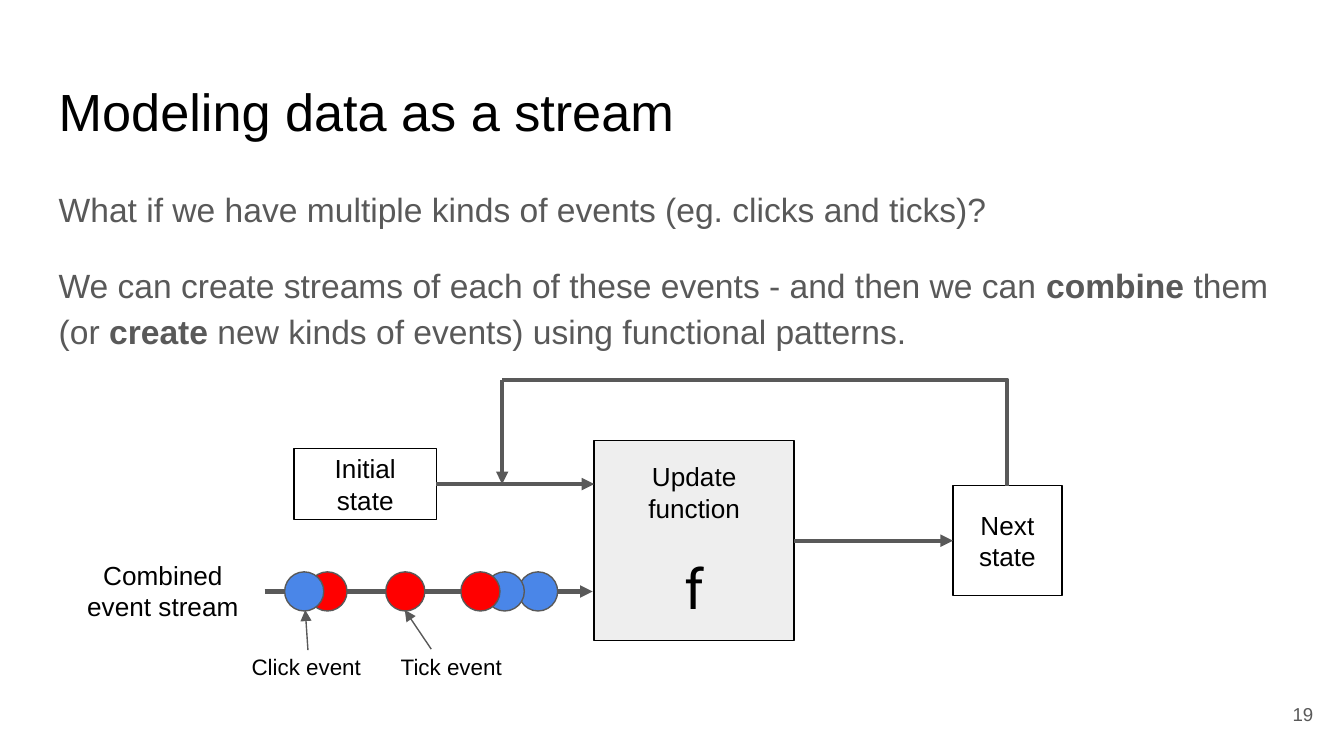
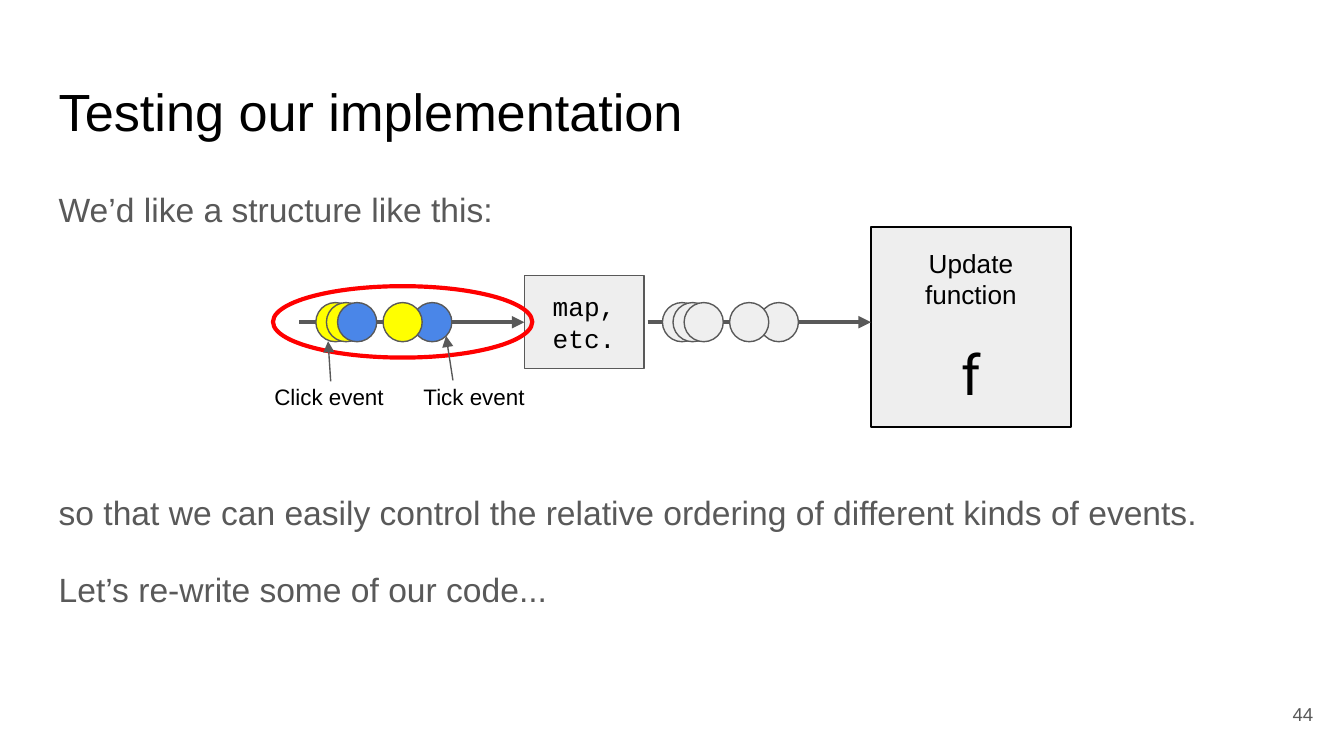
from lxml import etree
from pptx import Presentation
from pptx import util as u
from pptx.dml.color import RGBColor
from pptx.enum import shapes, text
from pptx.oxml.ns import qn

# Content: lengths in centimetres, text sizes and line widths in points
COLORS = {"ink": "000000", "grey": "595959", "panel": "EEEEEE", "neutral": "EFEFEF",
          "red": "FF0000", "blue": "4A86E8", "yellow": "FFFF00"}
TITLE_BOX = (0.86, 1.24, 23.67, 1.6)
BODY_BOX = (0.86, 3.2, 23.67, 9.5)
NUMBER_BOX = (23.55, 12.95, 1.52, 1.09)
UPDATE_SIDE = 3.78
BALL = 0.74
EVENT_NAMES = ["Click event", "Tick event"]
EVENT_LABEL = {"width": 3.2, "height": 1.09, "pitch": 2.74, "drop": 0.91}

# A paragraph is (runs, space before, space after); a run is (words, bold)
STREAM_SLIDE = {
    "title": "Modeling data as a stream",
    "number": "19",
    "body": [
        ([("What if we have multiple kinds of events (eg. clicks and ticks)?", False)], 0, 0),
        ([("We can create streams of each of these events - and then we can ", False),
          ("combine", True), (" them (or ", False), ("create", True),
          (" new kinds of events) using functional patterns.", False)], 16, 16),
    ],
    "update": (11.23, 8.33),
    "initial": (5.56, 8.48, 2.69, 1.34),
    "next": (18.01, 9.18, 2.06, 2.08),
    "feedback": {"left": 9.49, "top": 7.18, "right": 19.04, "bottom": 9.18},
    "state_y": 9.15,
    "stream": {"start": 5.0, "end": 11.2, "y": 11.18},
    "stream_label": (1.19, 10.49, 3.78, 1.35),
    "balls": [(7.29, "red"), (9.8, "blue"), (5.82, "red"), (9.17, "blue"),
              (5.38, "blue"), (8.71, "red")],
    "labels_left": 4.19,
    "pointers": [((5.82, 12.29), (5.77, 11.53)), ((8.15, 12.27), (7.65, 11.53))],
}
TEST_SLIDE = {
    "title": "Testing our implementation",
    "number": "44",
    "body": [
        ([("We’d like a structure like this:", False)], 0, 0),
        ([("so that we can easily control the relative ordering of different kinds of events.",
           False)], 138, 0),
        ([("Let’s re-write some of our code...", False)], 16, 16),
    ],
    "update": (16.46, 4.29),
    "map": (9.91, 5.21, 2.26, 1.76),
    "highlight": (5.16, 5.41, 4.9, 1.35),
    "input": {"start": 5.66, "end": 9.91, "y": 6.09},
    "output": {"start": 12.24, "end": 16.46, "y": 6.09},
    "first_balls": (5.97, 12.52),
    "ball_offsets": [0, 1.83, 1.27, 0.2, 0.41],
    "ball_colors": ["yellow", "blue", "yellow", "yellow", "blue"],
    "labels_left": 4.62,
    "pointers": [((6.25, 7.21), (6.2, 6.45)), ((8.56, 7.19), (8.43, 6.35))],
}


def color(name):
    return RGBColor.from_string(COLORS[name])


def cm(values):
    return [u.Cm(value) for value in values]


# Text
def set_frame(frame, anchor=text.MSO_ANCHOR.TOP):
    settings = {"word_wrap": True, "auto_size": text.MSO_AUTO_SIZE.NONE,
                "vertical_anchor": anchor}
    settings.update({f"margin_{side}": u.Cm(0.25)
                     for side in ("left", "top", "right", "bottom")})
    for name, value in settings.items():
        setattr(frame, name, value)


def add_run(paragraph, words, size, ink="ink", font="Arial", bold=False):
    run = paragraph.add_run()
    run.text = words
    for name, value in {"size": u.Pt(size), "name": font, "bold": bold}.items():
        setattr(run.font, name, value)
    run.font.color.rgb = color(ink)


def write_lines(shape, lines, align=text.PP_ALIGN.CENTER, anchor=text.MSO_ANCHOR.MIDDLE):
    """Write each (words, format, space before) line as one paragraph."""
    frame = shape.text_frame
    set_frame(frame, anchor)
    for index, (words, style, before) in enumerate(lines):
        paragraph = frame.add_paragraph() if index else frame.paragraphs[0]
        paragraph.alignment = align
        paragraph.space_before = u.Pt(before)
        add_run(paragraph, words, **style)


def add_label(slide, box, words, size, ink="ink", **placing):
    shape = slide.shapes.add_textbox(*cm(box))
    write_lines(shape, [(words, {"size": size, "ink": ink}, 0)], **placing)


def add_body(slide, paragraphs):
    frame = slide.shapes.add_textbox(*cm(BODY_BOX)).text_frame
    set_frame(frame)
    for index, (runs, before, after) in enumerate(paragraphs):
        paragraph = frame.add_paragraph() if index else frame.paragraphs[0]
        spacing = {"line_spacing": 1.15, "space_before": u.Pt(before),
                   "space_after": u.Pt(after)}
        for name, value in spacing.items():
            setattr(paragraph, name, value)
        for words, bold in runs:
            add_run(paragraph, words, 18, "grey", bold=bold)


# Shapes and lines
def add_figure(slide, kind, box, fill=None, line="ink", width=0.75):
    shape = slide.shapes.add_shape(kind, *cm(box))
    shape.shadow.inherit = False
    if fill:
        shape.fill.solid()
        shape.fill.fore_color.rgb = color(fill)
    else:
        shape.fill.background()
    shape.line.color.rgb = color(line)
    shape.line.width = u.Pt(width)
    return shape


def add_box(slide, box, lines, **look):
    shape = add_figure(slide, shapes.MSO_SHAPE.RECTANGLE, box, **look)
    write_lines(shape, lines)
    return shape


def add_update_function(slide, corner):
    lines = [("Update function", {"size": 14}, 0),
             ("f", {"size": 30, "font": "Roboto"}, 16)]
    return add_box(slide, (*corner, UPDATE_SIDE, UPDATE_SIDE), lines, fill="panel")


def add_line(slide, start, end, width=2.25, arrow=True, kind=shapes.MSO_CONNECTOR.STRAIGHT):
    connector = slide.shapes.add_connector(kind, *cm((*start, *end)))
    connector.line.color.rgb = color("grey")
    connector.line.width = u.Pt(width)
    if arrow:
        outline = connector.line._get_or_add_ln()
        etree.SubElement(outline, qn("a:tailEnd"), type="triangle")
    etree.SubElement(connector._element.spPr, qn("a:effectLst"))
    return connector


def add_corner_line(slide, left, top, right, bottom):
    """Run up from the lower right, then to the upper left."""
    middle_x, middle_y = (left + right) / 2, (top + bottom) / 2
    half_width, half_height = (right - left) / 2, (bottom - top) / 2
    connector = add_line(slide, (middle_x + half_height, middle_y - half_width),
                         (middle_x - half_height, middle_y + half_width),
                         arrow=False, kind=shapes.MSO_CONNECTOR.ELBOW)
    properties = connector._element.spPr
    properties.find(qn("a:xfrm")).set("rot", str(90 * 60000))
    properties.find(qn("a:prstGeom")).set("prst", "bentConnector2")


def add_stream(slide, stream, balls):
    connector = add_line(slide, (stream["start"], stream["y"]), (stream["end"], stream["y"]))
    for left, fill in balls:
        add_figure(slide, shapes.MSO_SHAPE.OVAL,
                   (left, stream["y"] - BALL / 2, BALL, BALL), fill, "grey")
    return connector


def add_event_labels(slide, left, stream_y, pointers):
    for index, (name, pointer) in enumerate(zip(EVENT_NAMES, pointers)):
        box = (left + index * EVENT_LABEL["pitch"], stream_y + EVENT_LABEL["drop"],
               EVENT_LABEL["width"], EVENT_LABEL["height"])
        add_label(slide, box, name, 12, anchor=text.MSO_ANCHOR.TOP)
        add_line(slide, *pointer, width=0.75)


# Slides
def start_slide(presentation, content):
    slide = presentation.slides.add_slide(presentation.slide_layouts[5])
    title = slide.shapes.title
    for name, value in zip(("left", "top", "width", "height"), cm(TITLE_BOX)):
        setattr(title, name, value)
    write_lines(title, [(content["title"], {"size": 28}, 0)],
                text.PP_ALIGN.LEFT, text.MSO_ANCHOR.TOP)
    add_body(slide, content["body"])
    add_label(slide, NUMBER_BOX, content["number"], 10, "grey", align=text.PP_ALIGN.RIGHT)
    return slide


def build_stream_slide(presentation, content):
    slide = start_slide(presentation, content)
    update = add_update_function(slide, content["update"])
    initial_state, next_state = [
        add_box(slide, content[key], [(words, {"size": 14}, 0)])
        for key, words in (("initial", "Initial state"), ("next", "Next state"))]

    # State flow and feedback
    left, top = content["update"]
    middle_y = top + UPDATE_SIDE / 2
    result = add_line(slide, (left + UPDATE_SIDE, middle_y), (content["next"][0], middle_y))
    result.begin_connect(update, 3)
    result.end_connect(next_state, 1)
    feedback, state_y = content["feedback"], content["state_y"]
    add_corner_line(slide, **feedback)
    add_line(slide, (feedback["left"], feedback["top"]), (feedback["left"], state_y))
    initial_right = content["initial"][0] + content["initial"][2]
    add_line(slide, (initial_right, state_y), (left, state_y)).begin_connect(initial_state, 3)

    # Event stream
    add_stream(slide, content["stream"], content["balls"])
    add_label(slide, content["stream_label"], "Combined event stream", 14)
    add_event_labels(slide, content["labels_left"], content["stream"]["y"], content["pointers"])


def build_test_slide(presentation, content):
    slide = start_slide(presentation, content)
    code = {"size": 14, "font": "Courier New"}
    map_box = add_box(slide, content["map"], [("map,", code, 0), ("etc.", code, 0)],
                      fill="panel", line="grey")
    add_figure(slide, shapes.MSO_SHAPE.OVAL, content["highlight"], line="red", width=2.25)
    add_update_function(slide, content["update"])

    # Streams before and after the mapping
    offsets, fills = content["ball_offsets"], content["ball_colors"]
    first_input, first_output = content["first_balls"]
    incoming = add_stream(slide, content["input"],
                          [(first_input + offset, fill) for offset, fill in zip(offsets, fills)])
    incoming.end_connect(map_box, 1)
    add_stream(slide, content["output"],
               [(first_output + offset, "neutral") for offset in offsets])
    add_event_labels(slide, content["labels_left"], content["input"]["y"], content["pointers"])


def main():
    presentation = Presentation()
    presentation.slide_width, presentation.slide_height = cm((25.4, 14.29))
    build_stream_slide(presentation, STREAM_SLIDE)
    build_test_slide(presentation, TEST_SLIDE)
    presentation.save("out.pptx")


if __name__ == "__main__":
    main()
